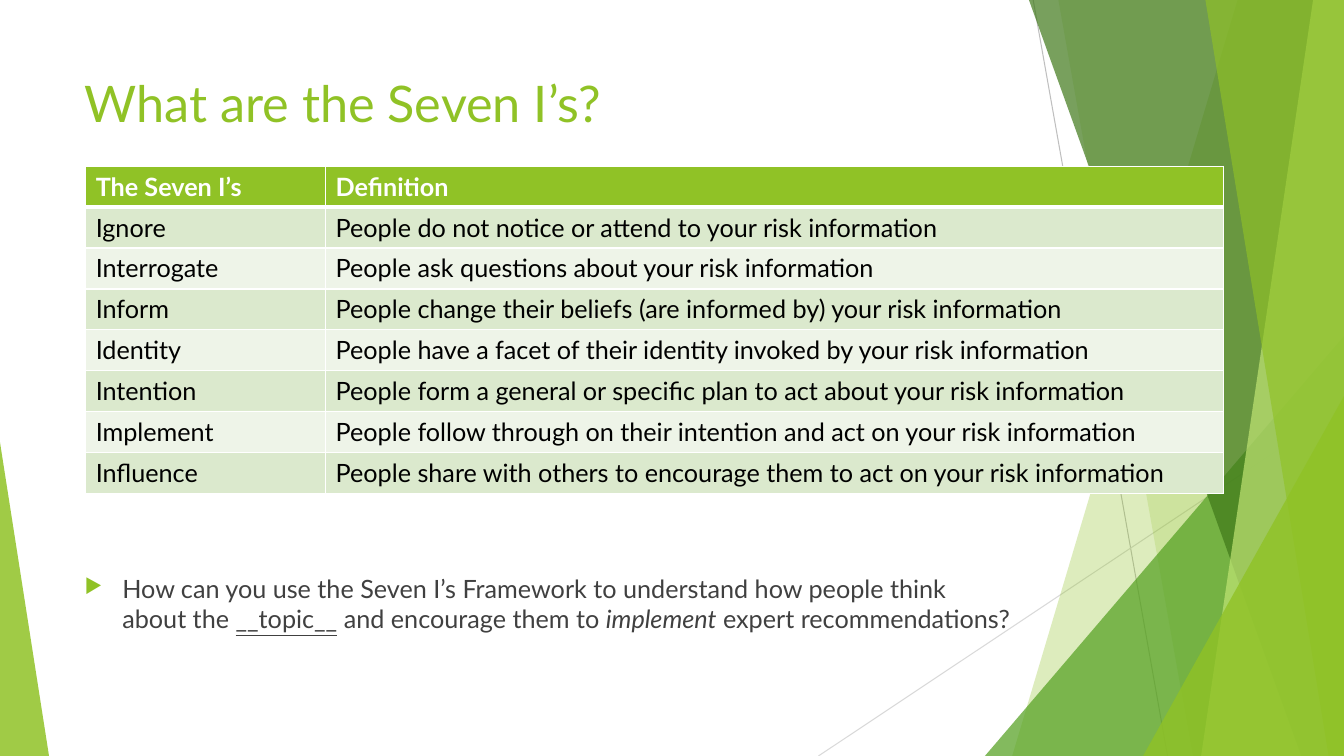
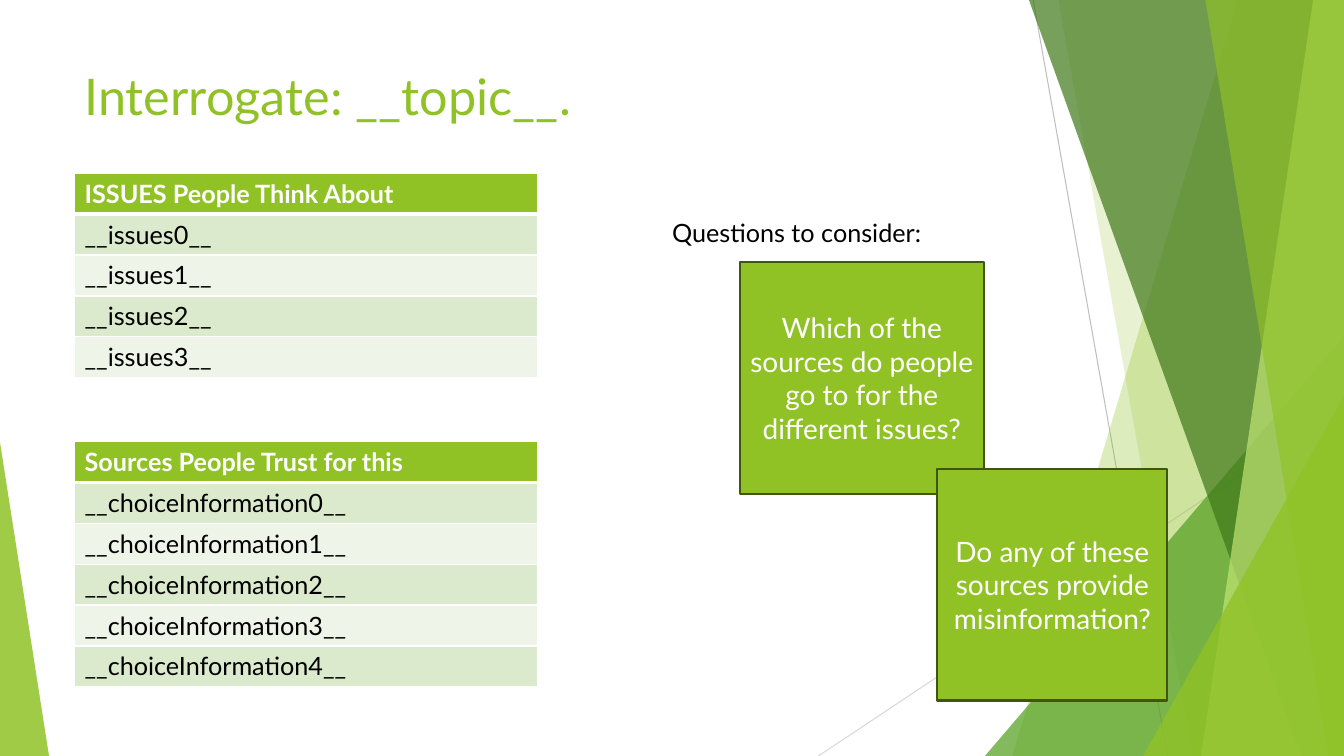
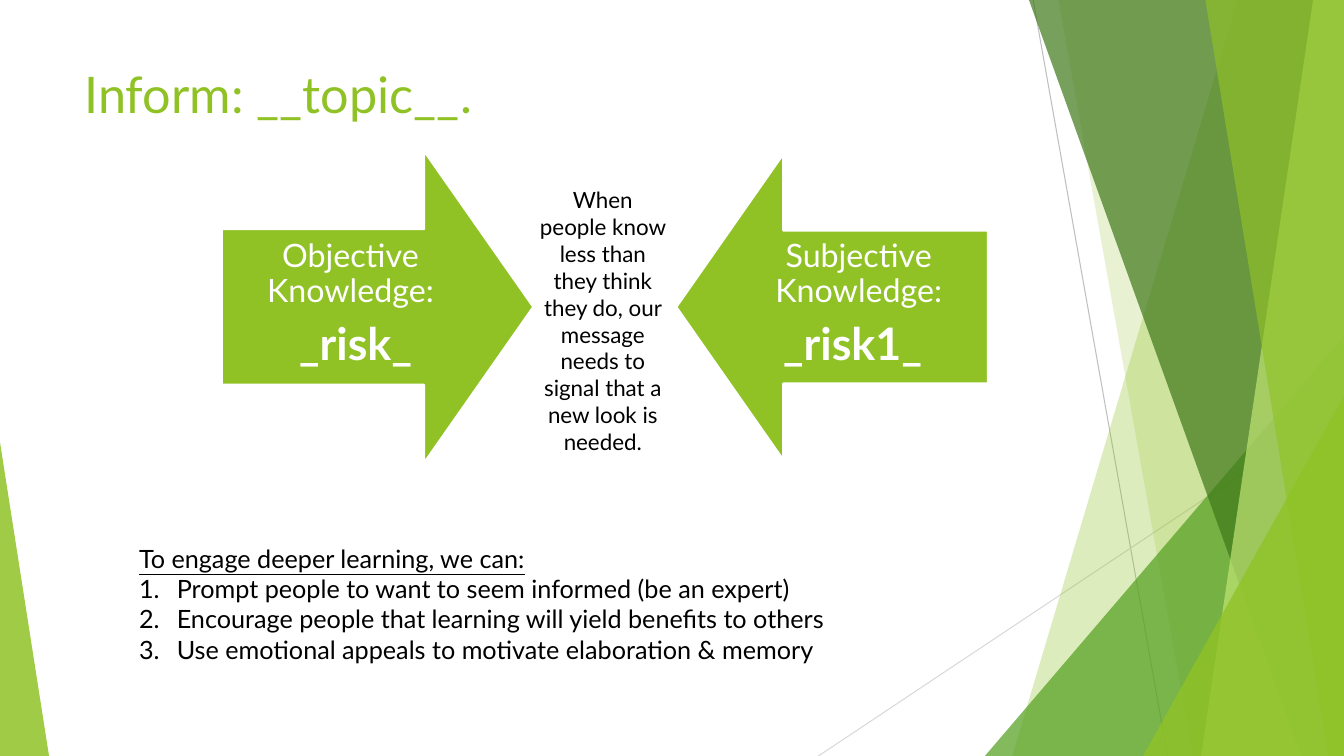
from typing import NamedTuple, Optional

from lxml.etree import SubElement
from pptx import Presentation
from pptx.dml.color import RGBColor
from pptx.enum.shapes import MSO_CONNECTOR, MSO_SHAPE
from pptx.enum.text import MSO_ANCHOR, PP_ALIGN
from pptx.oxml.ns import qn
from pptx.shapes.autoshape import Shape
from pptx.slide import Slide
from pptx.table import _Cell
from pptx.text.text import TextFrame, _Paragraph
from pptx.util import Pt

FONT = "Lato"
GREEN = RGBColor(0x90, 0xC2, 0x26)
MID_GREEN = RGBColor(0x54, 0xA0, 0x21)
DARK_GREEN = RGBColor(0x3F, 0x78, 0x19)
LIGHT_GREEN = RGBColor(0xC0, 0xE4, 0x74)
OUTLINE_GREEN = RGBColor(0x3F, 0x55, 0x11)
ODD_ROW = RGBColor(0xDB, 0xE9, 0xCD)
EVEN_ROW = RGBColor(0xEE, 0xF4, 0xE8)
WHITE = RGBColor(0xFF, 0xFF, 0xFF)
BLACK = RGBColor(0, 0, 0)
BODY_GRAY = RGBColor(0x40, 0x40, 0x40)
LINE_GRAY = RGBColor(0xBF, 0xBF, 0xBF)
PALE_GRAY = RGBColor(0xD9, 0xD9, 0xD9)

SLIDE_WIDTH, SLIDE_HEIGHT = 960, 540
MARGIN = 53.3
ROW_HEIGHT = 29.2
HANGING_INDENT = 27


class Box(NamedTuple):
    left: float
    top: float
    width: float
    height: float

    def lengths(self) -> tuple[Pt, ...]:
        return tuple(Pt(value) for value in self)


class TextStyle(NamedTuple):
    size: float
    color: RGBColor = BLACK
    bold: bool = False
    align: Optional[PP_ALIGN] = None


class Hairline(NamedTuple):
    start: tuple[float, float]
    end: tuple[float, float]
    color: RGBColor


class Band(NamedTuple):
    """Area from a slanted left edge to the right edge of the slide."""
    top_x: float
    bottom_x: float
    color: RGBColor
    opacity: int


class Wedge(NamedTuple):
    """Right-angled triangle; apex 0 is at the left, 1 at the right."""
    box: Box
    apex: float
    color: RGBColor
    opacity: int


class KnowledgeArrow(NamedTuple):
    kind: MSO_SHAPE
    box: Box
    caption: str
    caption_left: float
    value: str
    value_left: float


HAIRLINES = [
    Hairline((738, 0), (834, 540), LINE_GRAY),
    Hairline((960, 290), (584.6, 540), PALE_GRAY),
]
DECORATIONS = [
    Band(884, 723, GREEN, 30),
    Band(756, 852, GREEN, 20),
    Wedge(Box(703.5, 240, 256.5, 300), 1, MID_GREEN, 72),
    Band(735, 929.5, DARK_GREEN, 70),
    Band(938, 858, LIGHT_GREEN, 70),
    Band(861, 949, GREEN, 65),
    Wedge(Box(816.5, 283, 143.5, 257), 1, GREEN, 80),
    Wedge(Box(0, 316, 35, 224), 0, GREEN, 85),
]

TITLE = TextStyle(36, GREEN)
PLAIN = TextStyle(18)
TABLE_HEADER = TextStyle(18, WHITE, bold=True)
QUESTION = TextStyle(20, WHITE, align=PP_ALIGN.CENTER)
CAPTION = TextStyle(23, WHITE, align=PP_ALIGN.CENTER)
VALUE = TextStyle(32, WHITE, bold=True, align=PP_ALIGN.CENTER)
MESSAGE = TextStyle(16, align=PP_ALIGN.CENTER)

SEVEN_IS = [
    ("The Seven I’s", "Definition"),
    ("Ignore", "People do not notice or attend to your risk information"),
    ("Interrogate", "People ask questions about your risk information"),
    ("Inform", "People change their beliefs (are informed by) your risk information"),
    ("Identity", "People have a facet of their identity invoked by your risk information"),
    ("Intention", "People form a general or specific plan to act about your risk information"),
    ("Implement", "People follow through on their intention and act on your risk information"),
    ("Influence", "People share with others to encourage them to act on your risk information"),
]
ISSUES = [("ISSUES People Think About",)] + [(f"__issues{i}__",) for i in range(4)]
SOURCES = [("Sources People Trust for this",)] + [
    (f"__choiceInformation{i}__",) for i in range(5)
]
KNOWLEDGE_ARROWS = [
    KnowledgeArrow(MSO_SHAPE.RIGHT_ARROW, Box(158.4, 108, 222.5, 222.5),
                   "Objective Knowledge:", 158.4, "_risk_", 162),
    KnowledgeArrow(MSO_SHAPE.LEFT_ARROW, Box(483.1, 110.2, 222.5, 218.2),
                   "Subjective Knowledge:", 521.5, "_risk1_", 517),
]
LEARNING_STEPS = [
    "Prompt people to want to seem informed (be an expert)",
    "Encourage people that learning will yield benefits to others",
    "Use emotional appeals to motivate elaboration & memory",
]


def style_paragraph(paragraph: _Paragraph, style: TextStyle) -> None:
    if style.align is not None:
        paragraph.alignment = style.align
    font = paragraph.font
    font.name = FONT
    font.size = Pt(style.size)
    font.bold = style.bold
    font.color.rgb = style.color


def add_bullet(paragraph: _Paragraph, tag: str, color: Optional[RGBColor] = None,
               percent: int = 100, **attributes: str) -> None:
    """Give a paragraph a hanging indent and a bullet element of the given tag."""
    properties = paragraph._p.get_or_add_pPr()
    properties.set("marL", str(Pt(HANGING_INDENT)))
    properties.set("indent", str(-Pt(HANGING_INDENT)))
    if color is not None:
        bullet_color = SubElement(properties, qn("a:buClr"))
        SubElement(bullet_color, qn("a:srgbClr"), val=str(color))
    SubElement(properties, qn("a:buSzPct"), val=str(percent * 1000))
    SubElement(properties, qn(tag), **attributes)


def add_text(slide: Slide, box: Box, text: str, style: TextStyle) -> TextFrame:
    frame = slide.shapes.add_textbox(*box.lengths()).text_frame
    frame.word_wrap = True
    paragraph = frame.paragraphs[0]
    paragraph.text = text
    style_paragraph(paragraph, style)
    return frame


def paint(shape: Shape, color: RGBColor, opacity: int = 100,
          outline: Optional[RGBColor] = None) -> None:
    shape.shadow.inherit = False
    shape.fill.solid()
    shape.fill.fore_color.rgb = color
    if opacity < 100:
        fill_color = shape.element.spPr.find(qn("a:solidFill"))[0]
        SubElement(fill_color, qn("a:alpha"), val=str(opacity * 1000))
    if outline is None:
        shape.line.fill.background()
    else:
        shape.line.color.rgb = outline
        shape.line.width = Pt(1.5)


def draw_hairline(slide: Slide, hairline: Hairline) -> None:
    ends = [Pt(value) for value in hairline.start + hairline.end]
    connector = slide.shapes.add_connector(MSO_CONNECTOR.STRAIGHT, *ends)
    connector.line.color.rgb = hairline.color
    connector.line.width = Pt(0.75)
    SubElement(connector.element.spPr, qn("a:effectLst"))


def draw_band(slide: Slide, band: Band) -> None:
    corners = [(SLIDE_WIDTH, 0), (SLIDE_WIDTH, SLIDE_HEIGHT), (band.bottom_x, SLIDE_HEIGHT)]
    builder = slide.shapes.build_freeform(Pt(band.top_x), Pt(0))
    builder.add_line_segments([(Pt(x), Pt(y)) for x, y in corners], close=True)
    paint(builder.convert_to_shape(), band.color, band.opacity)


def draw_wedge(slide: Slide, wedge: Wedge) -> None:
    shape = slide.shapes.add_shape(MSO_SHAPE.ISOSCELES_TRIANGLE, *wedge.box.lengths())
    shape.adjustments[0] = wedge.apex
    paint(shape, wedge.color, wedge.opacity)


def add_decorated_slide(presentation: Presentation, title: str, title_top: float) -> Slide:
    slide = presentation.slides.add_slide(presentation.slide_layouts[6])
    for hairline in HAIRLINES:
        draw_hairline(slide, hairline)
    for decoration in DECORATIONS:
        if isinstance(decoration, Band):
            draw_band(slide, decoration)
        else:
            draw_wedge(slide, decoration)
    add_text(slide, Box(MARGIN, title_top, 680, 51), title, TITLE)
    return slide


def add_cell_borders(cell: _Cell, bottom_width: float) -> None:
    properties = cell._tc.get_or_add_tcPr()
    for side, width in (("L", 1), ("R", 1), ("T", 1), ("B", bottom_width)):
        line = SubElement(properties, qn(f"a:ln{side}"), w=str(Pt(width)))
        fill = SubElement(line, qn("a:solidFill"))
        SubElement(fill, qn("a:srgbClr"), val=str(WHITE))


def draw_table(slide: Slide, left: float, top: float, column_widths: list[float],
               rows: list[tuple[str, ...]]) -> None:
    box = Box(left, top, sum(column_widths), ROW_HEIGHT * len(rows))
    table = slide.shapes.add_table(len(rows), len(column_widths), *box.lengths()).table
    table.horz_banding = False
    for column, width in zip(table.columns, column_widths):
        column.width = Pt(width)
    for row_index, texts in enumerate(rows):
        is_header = row_index == 0
        table.rows[row_index].height = Pt(ROW_HEIGHT)
        for column_index, text in enumerate(texts):
            cell = table.cell(row_index, column_index)
            cell.text = text
            style_paragraph(cell.text_frame.paragraphs[0], TABLE_HEADER if is_header else PLAIN)
            add_cell_borders(cell, 3 if is_header else 1)
            cell.fill.solid()
            band_color = ODD_ROW if row_index % 2 else EVEN_ROW
            cell.fill.fore_color.rgb = GREEN if is_header else band_color


def draw_question(slide: Slide, box: Box, text: str) -> None:
    shape = slide.shapes.add_shape(MSO_SHAPE.RECTANGLE, *box.lengths())
    paint(shape, GREEN, outline=OUTLINE_GREEN)
    shape.text_frame.text = text
    style_paragraph(shape.text_frame.paragraphs[0], QUESTION)


def draw_knowledge_arrow(slide: Slide, arrow: KnowledgeArrow) -> None:
    shape = slide.shapes.add_shape(arrow.kind, *arrow.box.lengths())
    shape.adjustments[0] = 0.5
    shape.adjustments[1] = 0.35
    paint(shape, GREEN, outline=WHITE)
    frame = add_text(slide, Box(arrow.caption_left, 163, 184, 66), arrow.caption, CAPTION)
    frame.vertical_anchor = MSO_ANCHOR.MIDDLE
    frame.margin_left = frame.margin_right = Pt(13)
    frame.paragraphs[0].line_spacing = 0.9
    add_text(slide, Box(arrow.value_left, 221.8, 184, 46), arrow.value, VALUE)


def build_seven_is(presentation: Presentation) -> None:
    slide = add_decorated_slide(presentation, "What are the Seven I’s?", 48.2)
    frame = add_text(slide, Box(MARGIN, 406, 677, 70), "", PLAIN)
    paragraph = frame.paragraphs[0]
    paragraph.clear()
    prompt = frame.add_paragraph() if paragraph is None else paragraph
    properties = prompt._p.get_or_add_pPr()
    for child in list(properties):
        properties.remove(child)
    add_bullet(prompt, "a:buChar", GREEN, 80, char="▶")
    style_paragraph(prompt, TextStyle(18, BODY_GRAY))
    texts = [
        "How can you use the Seven I’s Framework to understand how people think about the ",
        "__topic__",
        " and encourage them to ",
        "implement",
        " expert recommendations?",
    ]
    for text in texts:
        run = prompt.add_run()
        run.text = text
        if text == "__topic__":
            run.font.underline = True
        elif text == "implement":
            run.font.italic = True
    draw_table(slide, 61.2, 118.8, [171.4, 641.5], SEVEN_IS)


def build_interrogate(presentation: Presentation) -> None:
    slide = add_decorated_slide(presentation, "Interrogate: __topic__.", 43.2)
    draw_table(slide, MARGIN, 123.8, [330.5], ISSUES)
    draw_table(slide, MARGIN, 315.4, [330.5], SOURCES)
    add_text(slide, Box(473, 152, 196, 29), "Questions to consider:", PLAIN)
    draw_question(slide, Box(528.5, 187.2, 174.2, 165.6),
                  "Which of the sources do people go to for the different issues?")
    draw_question(slide, Box(669.6, 334.8, 164.2, 165.6),
                  "Do any of these sources provide misinformation?")


def build_inform(presentation: Presentation) -> None:
    slide = add_decorated_slide(presentation, "Inform: __topic__.", 41.8)
    for arrow in KNOWLEDGE_ARROWS:
        draw_knowledge_arrow(slide, arrow)
    add_text(slide, Box(377.3, 129.6, 106.6, 201),
             "When people know less than they think they do, our message needs to "
             "signal that a new look is needed.", MESSAGE)
    frame = add_text(slide, Box(92.2, 384.5, 528, 94),
                     "To engage deeper learning, we can:", PLAIN)
    frame.paragraphs[0].font.underline = True
    for step in LEARNING_STEPS:
        paragraph = frame.add_paragraph()
        paragraph.text = step
        add_bullet(paragraph, "a:buAutoNum", type="arabicPeriod")
        style_paragraph(paragraph, PLAIN)


def main() -> None:
    presentation = Presentation()
    presentation.slide_width = Pt(SLIDE_WIDTH)
    presentation.slide_height = Pt(SLIDE_HEIGHT)
    build_seven_is(presentation)
    build_interrogate(presentation)
    build_inform(presentation)
    presentation.save("out.pptx")


if __name__ == "__main__":
    main()
